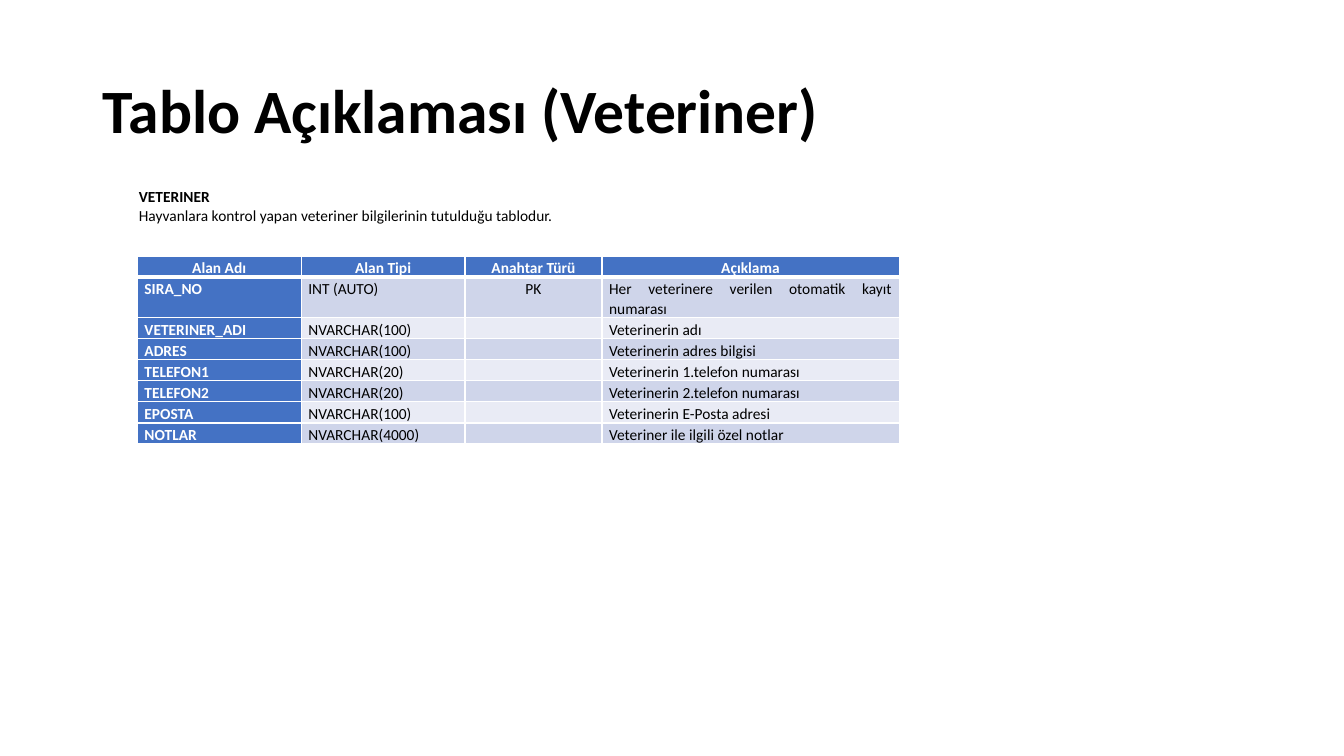
import pptx
import pptx.util
import pptx.dml.color
import pptx.enum.text
import pptx.oxml.ns
from lxml import etree

Cm = pptx.util.Cm
Pt = pptx.util.Pt
ALIGN = pptx.enum.text.PP_ALIGN
ANCHOR = pptx.enum.text.MSO_ANCHOR

TITLE = "Tablo Açıklaması (Veteriner)"
INTRO = [
    ("VETERINER", True),
    ("Hayvanlara kontrol yapan veteriner bilgilerinin tutulduğu tablodur.", False),
]
HEADERS = ("Alan Adı", "Alan Tipi", "Anahtar Türü", "Açıklama")
FIELDS = [
    ("SIRA_NO", "INT (AUTO)", "PK", "Her veterinere verilen otomatik kayıt numarası"),
    ("VETERINER_ADI", "NVARCHAR(100)", "", "Veterinerin adı"),
    ("ADRES", "NVARCHAR(100)", "", "Veterinerin adres bilgisi"),
    ("TELEFON1", "NVARCHAR(20)", "", "Veterinerin 1.telefon numarası"),
    ("TELEFON2", "NVARCHAR(20)", "", "Veterinerin 2.telefon numarası"),
    ("EPOSTA", "NVARCHAR(100)", "", "Veterinerin E-Posta adresi"),
    ("NOTLAR", "NVARCHAR(4000)", "", "Veteriner ile ilgili özel notlar"),
]
COLUMN_WIDTHS = (4.13, 4.13, 3.45, 7.49)
ROW_HEIGHTS = (0.53, 1.02) + (0.53,) * 6
KEY_COLUMN = 2
FONT = "Calibri"
BLACK, WHITE, BLUE = "000000", "FFFFFF", "4472C4"
BANDS = ("E9EBF5", "CFD5EA")


def color(value):
    return pptx.dml.color.RGBColor.from_string(value)


def add_run(paragraph, text, size, bold, ink):
    run = paragraph.add_run()
    run.text = text
    run.font.name = FONT
    run.font.size = Pt(size)
    run.font.bold = bold
    run.font.color.rgb = color(ink)


def set_borders(cell, bottom_width):
    properties = cell._tc.get_or_add_tcPr()
    widths = {"a:lnL": 1, "a:lnR": 1, "a:lnT": 1, "a:lnB": bottom_width}
    for position, (side, width) in enumerate(widths.items()):
        line = etree.Element(pptx.oxml.ns.qn(side), w=str(Pt(width)))
        fill = etree.SubElement(line, pptx.oxml.ns.qn("a:solidFill"))
        etree.SubElement(fill, pptx.oxml.ns.qn("a:srgbClr"), val=WHITE)
        properties.insert(position, line)


def fill_cell(cell, text, row, column):
    is_heading = row == 0 or column == 0
    cell.fill.solid()
    cell.fill.fore_color.rgb = color(BLUE if is_heading else BANDS[row % 2])
    cell.margin_left = cell.margin_right = Cm(0.18)
    cell.margin_top, cell.margin_bottom = Cm(0.03), 0
    set_borders(cell, 3 if row == 0 else 1)
    paragraph = cell.text_frame.paragraphs[0]
    centered = row == 0 or column == KEY_COLUMN
    paragraph.alignment = ALIGN.CENTER if centered else ALIGN.JUSTIFY
    paragraph.line_spacing = 1.07
    paragraph.space_after = Pt(8)
    if text:
        add_run(paragraph, text, 11, is_heading, WHITE if is_heading else BLACK)
    else:
        paragraph._p.get_or_add_endParaRPr().set("sz", "1100")


def add_title(slide):
    title = slide.shapes.title
    title.left, title.top, title.width, title.height = Cm(2.34), Cm(1.02), Cm(29.21), Cm(3.68)
    title.text_frame.vertical_anchor = ANCHOR.MIDDLE
    paragraph = title.text_frame.paragraphs[0]
    paragraph.alignment = ALIGN.LEFT
    paragraph.line_spacing = 0.9
    add_run(paragraph, TITLE, 44, True, BLACK)


def add_intro(slide):
    frame = slide.shapes.add_textbox(Cm(3.25), Cm(4.72), Cm(30.6), Cm(1.27)).text_frame
    frame.word_wrap = True
    frame.margin_top = frame.margin_bottom = 0
    for index, (text, bold) in enumerate(INTRO):
        paragraph = frame.paragraphs[0] if index == 0 else frame.add_paragraph()
        add_run(paragraph, text, 11, bold, BLACK)


def add_field_table(slide):
    rows = [HEADERS] + FIELDS
    table = slide.shapes.add_table(
        len(rows), len(HEADERS), Cm(3.46), Cm(6.45),
        Cm(sum(COLUMN_WIDTHS)), Cm(sum(ROW_HEIGHTS)),
    ).table
    table.first_col = True
    for column, width in zip(table.columns, COLUMN_WIDTHS):
        column.width = Cm(width)
    for row, height in zip(table.rows, ROW_HEIGHTS):
        row.height = Cm(height)
    for row, texts in enumerate(rows):
        for column, text in enumerate(texts):
            fill_cell(table.cell(row, column), text, row, column)


def main():
    presentation = pptx.Presentation()
    presentation.slide_width, presentation.slide_height = Cm(33.87), Cm(19.05)
    slide = presentation.slides.add_slide(presentation.slide_layouts[5])
    add_title(slide)
    add_intro(slide)
    add_field_table(slide)
    presentation.save("out.pptx")


if __name__ == "__main__":
    main()
